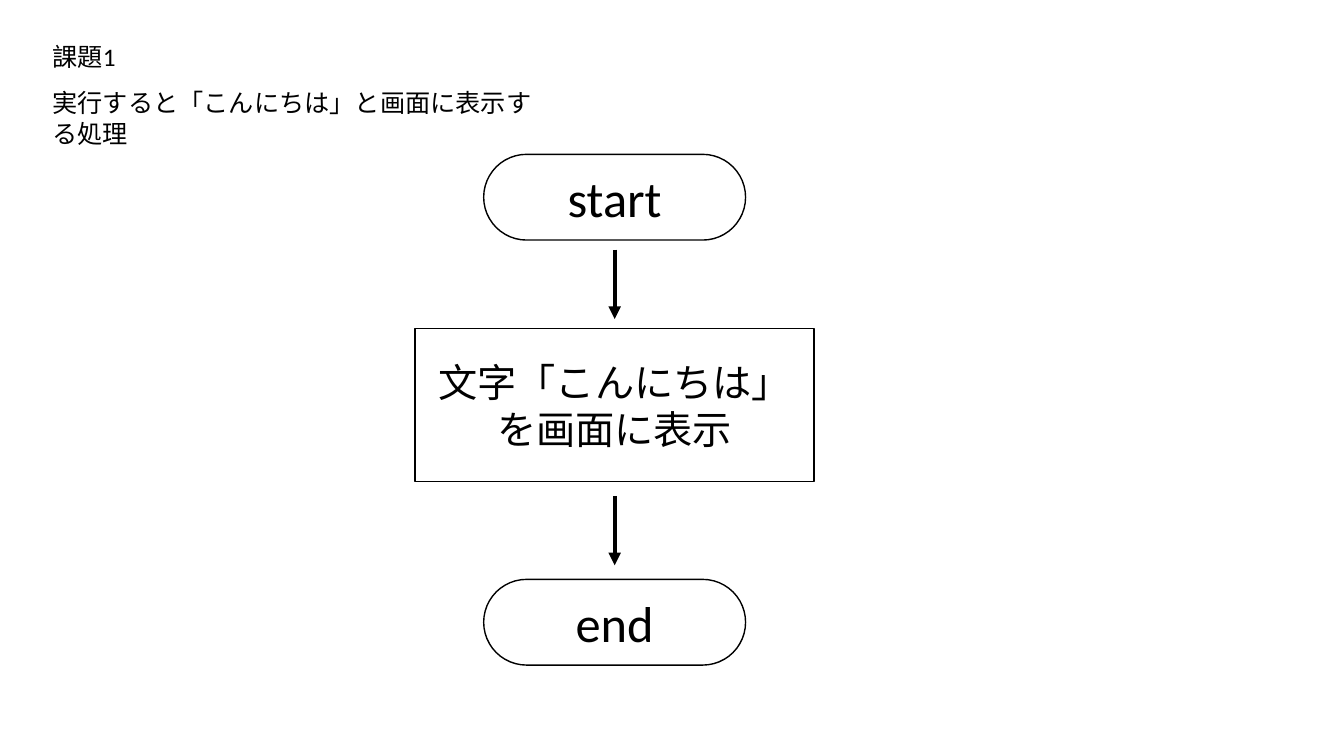
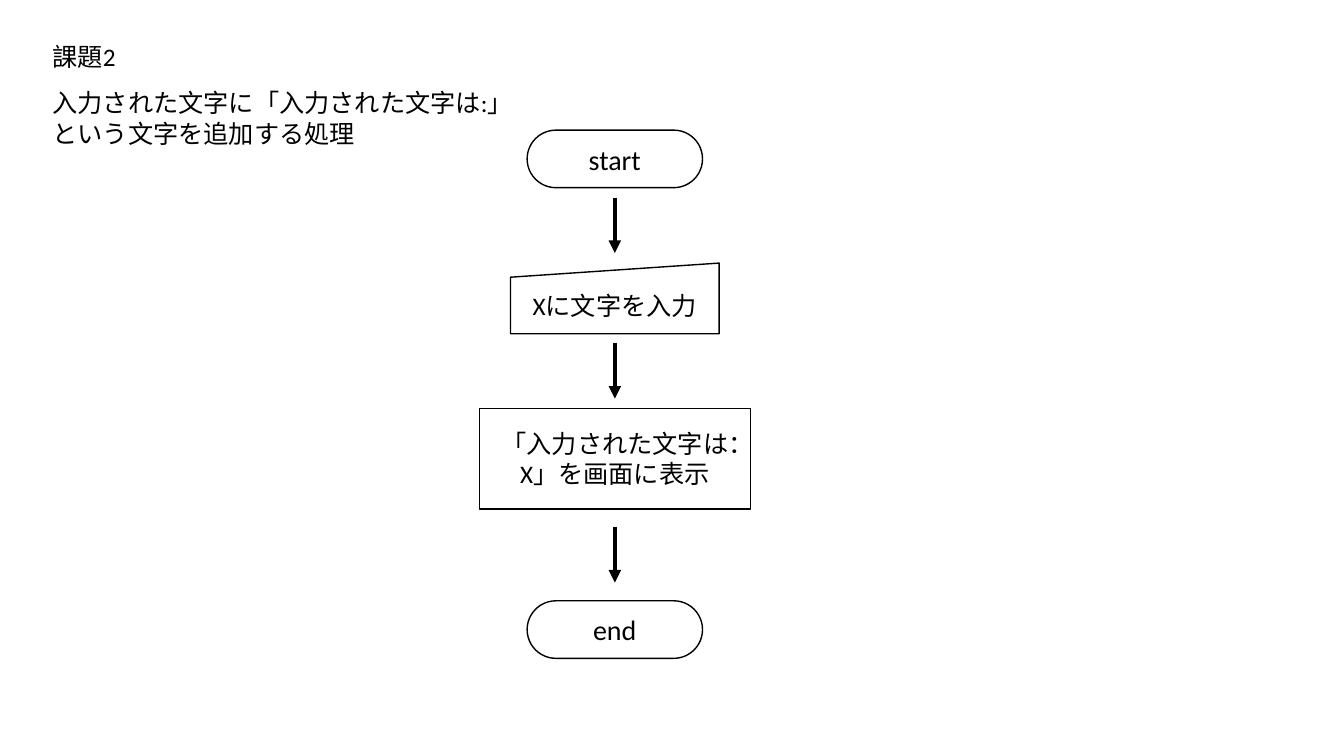
"""Build two flowchart slides, one for each programming exercise."""
from itertools import pairwise

from lxml.etree import SubElement
from pptx import Presentation
from pptx.dml.color import RGBColor as RGB
from pptx.enum.shapes import MSO_CONNECTOR as CONN, MSO_SHAPE as SHAPE
from pptx.enum.text import MSO_ANCHOR as ANCHOR, MSO_AUTO_SIZE as AUTOSIZE, PP_ALIGN as ALIGN
from pptx.oxml.ns import qn
from pptx.util import Cm, Pt

COLORS = {"ink": "000000"}
INK = RGB.from_string(COLORS["ink"])
FONT = "Calibri"
HEADING_BOX = (1.07, 0.91, 13.16)

SLIDES = [
    {
        "title": "課題1",
        "task": ["実行すると「こんにちは」と画面に表示する処理"],
        "box": (10.46, 3.89, 10.06),
        "arrow": 1.75,
        "steps": [
            (SHAPE.ROUNDED_RECTANGLE, 0, 6.6, 2.16, 36, ["start"]),
            (SHAPE.RECTANGLE, 4.39, 10.06, 3.86, 28, ["文字「こんにちは」", "を画面に表示"]),
            (SHAPE.ROUNDED_RECTANGLE, 10.71, 6.6, 2.16, 36, ["end"]),
        ],
    },
    {
        "title": "課題2",
        "task": ["入力された文字に「入力された文字は:」", "という文字を追加する処理"],
        "box": (12.08, 3.28, 6.83),
        "arrow": 1.39,
        "steps": [
            (SHAPE.ROUNDED_RECTANGLE, 0, 4.42, 1.45, 20, ["start"]),
            (SHAPE.FLOWCHART_MANUAL_INPUT, 3.35, 5.26, 1.78, 18, ["Xに文字を入力"]),
            (SHAPE.RECTANGLE, 7.01, 6.83, 2.54, 18, ["「入力された文字は：X」を画面に表示"]),
            (SHAPE.ROUNDED_RECTANGLE, 11.86, 4.42, 1.45, 20, ["end"]),
        ],
    },
]


def write(tf, lines, size, align, anchor):
    tf.word_wrap = True
    tf.auto_size = AUTOSIZE.NONE
    tf.vertical_anchor = anchor
    for i, line in enumerate(lines):
        p = tf.add_paragraph() if i else tf.paragraphs[0]
        p.alignment = align
        p.space_before = Pt(0)
        r = p.add_run()
        r.text = line
        r.font.name = FONT
        r.font.size = Pt(size)
        r.font.color.rgb = INK


def add_heading(s, box, title, task):
    left, top, width = box
    body = s.placeholders[1]
    parts = [(s.shapes.title, 0, 6.65, 1.02, [title]), (body, 1.17, width, 1.8, task)]
    for sp, dy, w, h, lines in parts:
        sp.left, sp.top, sp.width, sp.height = Cm(left), Cm(top + dy), Cm(w), Cm(h)
        write(sp.text_frame, lines, 18, ALIGN.LEFT, ANCHOR.TOP)
    for p in body.text_frame.paragraphs:
        pPr = p._p.get_or_add_pPr()
        pPr.set("marL", "0")
        pPr.set("indent", "0")
        SubElement(pPr, qn("a:buNone"))


def add_step(s, cx, top, kind, w, h, size, lines):
    sp = s.shapes.add_shape(kind, Cm(cx - w / 2), Cm(top), Cm(w), Cm(h))
    if kind == SHAPE.ROUNDED_RECTANGLE:
        sp.adjustments[0] = 0.5
    sp.shadow.inherit = False
    sp.fill.background()
    sp.line.color.rgb = INK
    sp.line.width = Pt(1)
    write(sp.text_frame, lines, size, ALIGN.CENTER, ANCHOR.MIDDLE)


def add_arrow(s, cx, cy, length):
    y1, y2 = cy - length / 2, cy + length / 2
    c = s.shapes.add_connector(CONN.STRAIGHT, Cm(cx), Cm(y1), Cm(cx), Cm(y2))
    c.line.color.rgb = INK
    c.line.width = Pt(3)
    SubElement(c.line._get_or_add_ln(), qn("a:tailEnd"), type="triangle")
    SubElement(c._element.spPr, qn("a:effectLst"))


def add_flow(s, box, steps, arrow):
    left, top, width = box
    cx = left + width / 2
    for kind, dy, w, h, size, lines in steps:
        add_step(s, cx, top + dy, kind, w, h, size, lines)
    for upper, lower in pairwise(steps):
        gap_middle = (upper[1] + upper[3] + lower[1]) / 2
        add_arrow(s, cx, top + gap_middle, arrow)


def main():
    prs = Presentation()
    prs.slide_width, prs.slide_height = Cm(33.87), Cm(19.05)
    for spec_row in SLIDES:
        s = prs.slides.add_slide(prs.slide_layouts[1])
        add_heading(s, HEADING_BOX, spec_row["title"], spec_row["task"])
        add_flow(s, spec_row["box"], spec_row["steps"], spec_row["arrow"])
    prs.save("out.pptx")


if __name__ == "__main__":
    main()
